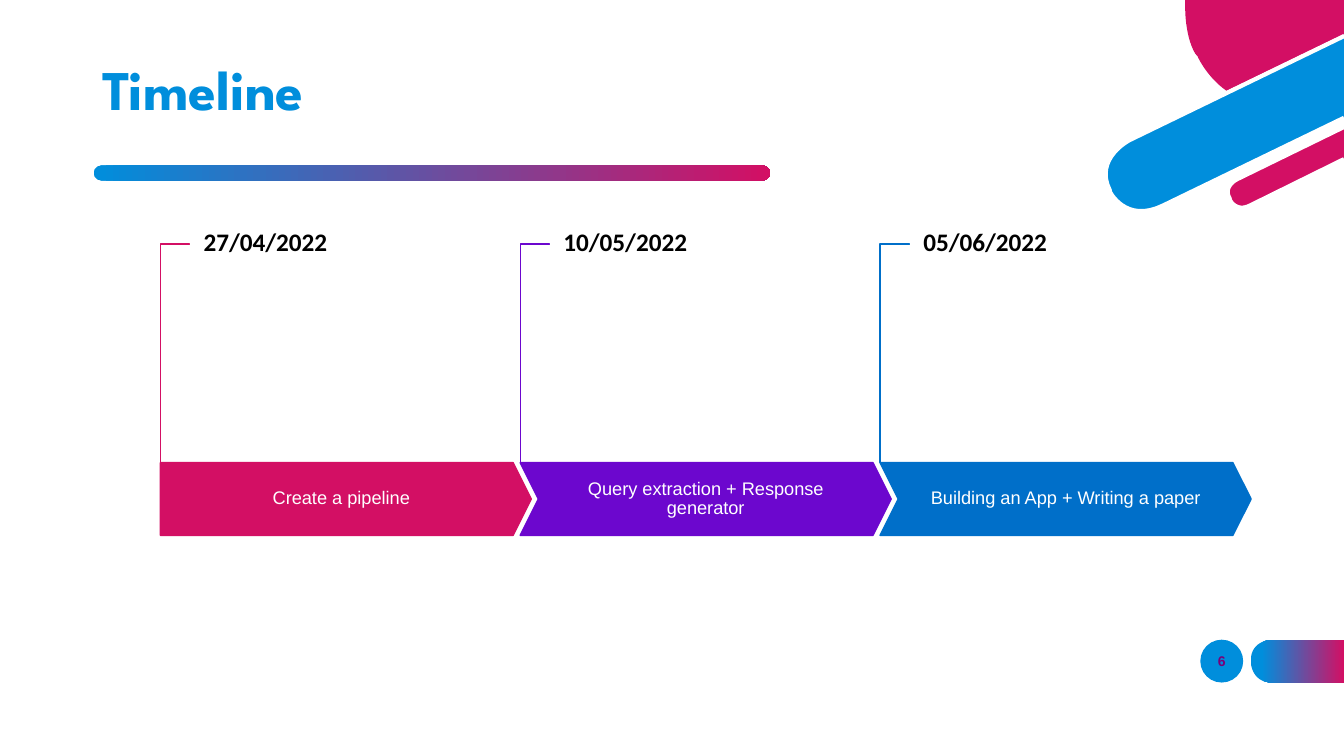
from dataclasses import dataclass

from pptx import Presentation
from pptx.dml.color import RGBColor
from pptx.enum.shapes import MSO_SHAPE
from pptx.enum.text import MSO_ANCHOR, PP_ALIGN
from pptx.util import Cm, Pt

ROUND, DISC, HOOK = MSO_SHAPE.ROUNDED_RECTANGLE, MSO_SHAPE.OVAL, MSO_SHAPE.CORNER
PLATE, ARROW = MSO_SHAPE.PENTAGON, MSO_SHAPE.CHEVRON
LEFT, MID = PP_ALIGN.LEFT, PP_ALIGN.CENTER
TOP, CENTER = MSO_ANCHOR.TOP, MSO_ANCHOR.MIDDLE


@dataclass(frozen=True)
class Theme:
    """Colours, fonts and type sizes of the slide."""
    sky: str = "008EDC"
    rose: str = "D30F64"
    plum: str = "6C07CE"
    blue: str = "006FC9"
    wine: str = "7A0078"
    white: str = "FFFFFF"
    black: str = "000000"
    head: str = "League Spartan"
    body: str = "Arial"
    date: str = "Calibri"
    title: int = 40
    day: int = 18
    step: int = 13
    page: int = 10


THEME = Theme()
STEPS = [
    ("27/04/2022", "Create a pipeline", THEME.rose),
    ("10/05/2022", "Query extraction + Response generator", THEME.plum),
    ("05/06/2022", "Building an App + Writing a paper", THEME.blue),
]


def paint(shape, fill, line=None, width=1):
    """Give a shape a plain fill and an optional line."""
    shape.shadow.inherit = False
    shape.fill.solid()
    shape.fill.fore_color.rgb = RGBColor.from_string(fill)
    if line:
        shape.line.color.rgb = RGBColor.from_string(line)
        shape.line.width = Pt(width)
    else:
        shape.line.fill.background()


def blend(shape, start=0):
    """Fill a shape from sky to rose, left to right."""
    paint(shape, THEME.sky)
    shape.fill.gradient()
    shape.fill.gradient_angle = 0
    stops = shape.fill.gradient_stops
    for stop, tint, place in zip(stops, (THEME.sky, THEME.rose), (start, 1)):
        stop.color.rgb = RGBColor.from_string(tint)
        stop.position = place


def add(shapes, kind, box):
    """Add a preset shape in a box given in centimetres."""
    return shapes.add_shape(kind, *map(Cm, box))


def write(shape, text, font, size, color, bold=True, align=LEFT, anchor=CENTER,
          pad=(0.25, 0.13), space=1):
    """Set one styled paragraph in a shape."""
    frame = shape.text_frame
    frame.word_wrap = True
    frame.vertical_anchor = anchor
    frame.margin_left = frame.margin_right = Cm(pad[0])
    frame.margin_top = frame.margin_bottom = Cm(pad[1])
    line = frame.paragraphs[0]
    line.text, line.alignment, line.line_spacing = text, align, space
    line.font.name, line.font.size, line.font.bold = font, Pt(size), bold
    line.font.color.rgb = RGBColor.from_string(color)


def bend(start, pull, end, count=16):
    """List points on a curve drawn from start to end towards pull."""
    times = [i / count for i in range(1, count + 1)]
    return [
        tuple(((1 - t) ** 3 + 3 * t * (1 - t) ** 2) * a
              + 3 * t * t * (1 - t) * b + t ** 3 * c
              for a, b, c in zip(start, pull, end))
        for t in times
    ]


def trace(shapes, left, top, path, close=False):
    """Draw an outline of points and (pull, end) curves."""
    dots = [path[0]]
    for part in path[1:]:
        if isinstance(part[0], tuple):
            dots += bend(dots[-1], *part)
        else:
            dots.append(part)
    spots = [(Cm(left + x), Cm(top + y)) for x, y in dots]
    pen = shapes.build_freeform(*spots[0])
    pen.add_line_segments(spots[1:], close=close)
    return pen.convert_to_shape()


def corner(shapes, left, top):
    """Draw the disc and the two slanted bars."""
    disc = [(2, 0), ((1.95, 0.84), (2.25, 1.35)), (2.31, 1.42),
            ((2.53, 1.93), (3.04, 2.29)), (6, 0.86), (6, 0)]
    wide = [(6, 0.91), (0.6, 3.53), ((-0.31, 3.99), (0.1, 4.8)), (0.1, 4.83),
            ((0.5, 5.64), (1.44, 5.18)), (6, 2.97)]
    thin = [(6, 3.2), (3.3, 4.52), ((2.94, 4.7), (3.12, 5)), (3.12, 5.03),
            ((3.27, 5.36), (3.63, 5.18)), (6, 4.01)]
    paint(trace(shapes, left, top, disc, True), THEME.rose)
    for path, tint in ((wide, THEME.sky), (thin, THEME.rose)):
        paint(trace(shapes, left, top, path), tint, THEME.white, 3)


def header(shapes, left, top, width, height):
    """Place the title and the rule under it."""
    title = shapes.add_textbox(Cm(left), Cm(top), Cm(width), Cm(height))
    write(title, "Timeline", THEME.head, THEME.title, THEME.sky, space=0.9)
    rule = add(shapes, ROUND, (left + 0.02, top + 3.15, 17.05, 0.38))
    rule.adjustments[0] = 0.5
    blend(rule)


def footer(shapes, left, top, width, height):
    """Place the page number and the tab at the edge."""
    disc = add(shapes, DISC, (left, top, height, height))
    paint(disc, THEME.sky)
    write(disc, "6", THEME.body, THEME.page, THEME.wine, align=MID, pad=(0, 0))
    tab, half = width - 1.27, height / 2
    path = [(tab, 0), (half, 0), ((0, 0), (0, half)),
            ((0, height), (half, height)), (tab, height)]
    blend(trace(shapes, left + 1.27, top, path, True), 0.12)


def step(shapes, box, kind, day, task, tint):
    """Place one hook, its date and its arrow."""
    left, top, width, height = box
    tall, short, deep = 5.51, 0.74, 1.83
    hook = add(shapes, HOOK, (left + (short - tall) / 2,
                              top + (tall - short) / 2, tall, short))
    hook.rotation = 90
    hook.adjustments[0] = hook.adjustments[1] = 0.01
    paint(hook, THEME.white, tint)
    arrow = add(shapes, kind, (left, top + height - deep, width, deep))
    arrow.adjustments[0] = 0.25
    paint(arrow, tint, tint)
    write(arrow, task, THEME.body, THEME.step, THEME.white, False, MID,
          pad=(0.23, 0.46), space=0.9)
    date = shapes.add_textbox(Cm(left + 0.84), Cm(top - 0.58), Cm(4), Cm(1))
    write(date, day, THEME.date, THEME.day, THEME.black, anchor=TOP)


def timeline(shapes, left, top, width, height):
    """Spread the steps evenly over the box."""
    size = 9.35
    pitch = (width - size) / (len(STEPS) - 1)
    for i, item in enumerate(STEPS):
        box = (left + i * pitch, top, size, height)
        step(shapes, box, ARROW if i else PLATE, *item)


def main():
    """Build and save the slide."""
    deck = Presentation()
    deck.slide_width, deck.slide_height = Cm(33.87), Cm(19.05)
    shapes = deck.slides.add_slide(deck.slide_layouts[6]).shapes
    corner(shapes, 27.87, 0)
    header(shapes, 2.34, 1.02, 25.15, 2.62)
    timeline(shapes, 4.04, 6.15, 27.49, 7.34)
    footer(shapes, 30.25, 16.12, 3.62, 1.08)
    deck.save("out.pptx")


main()
